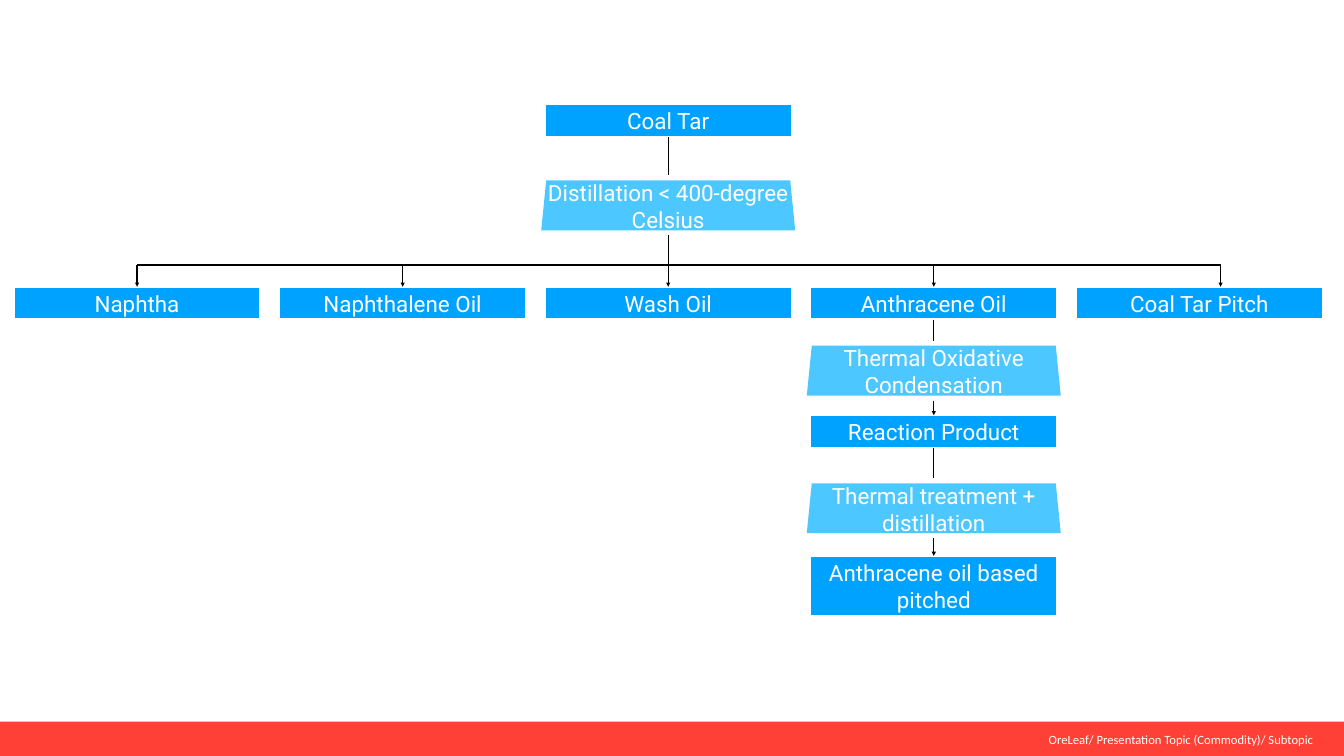
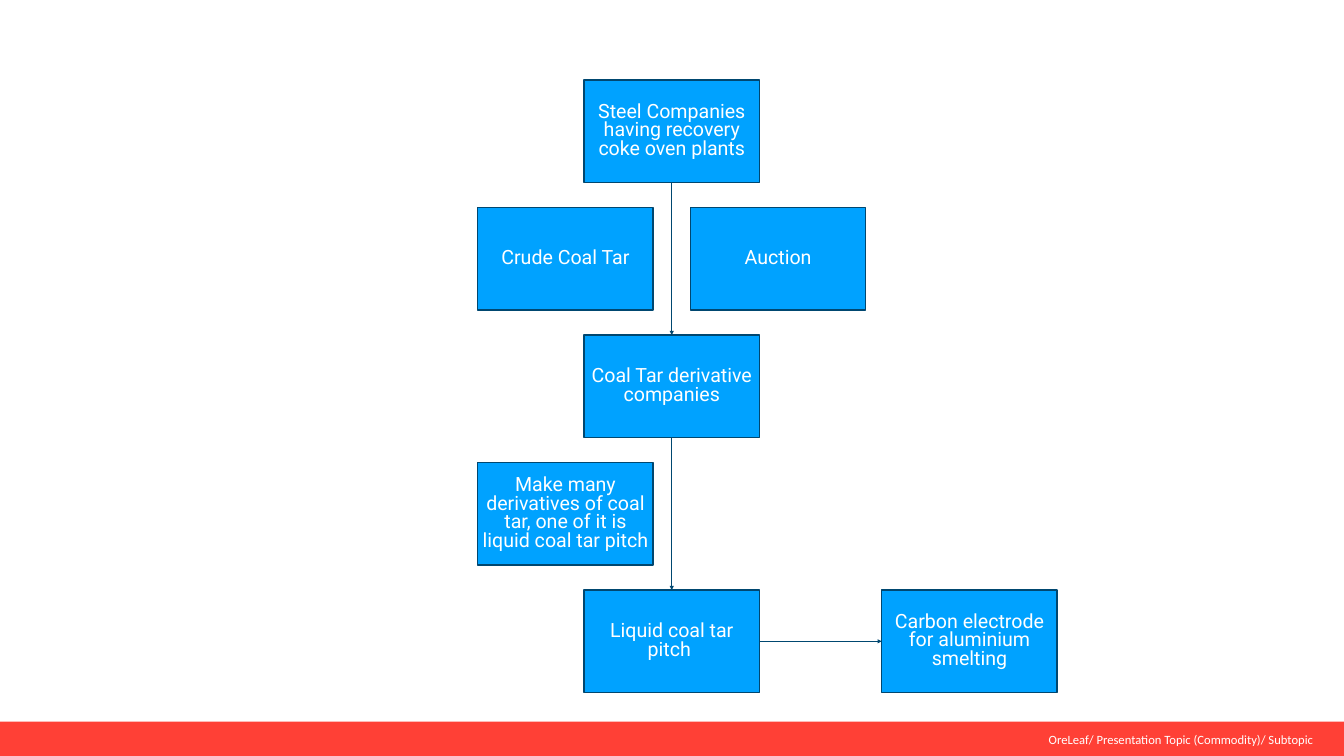
from dataclasses import dataclass
from typing import NamedTuple, Optional

from pptx import Presentation
from pptx.dml.color import RGBColor
from pptx.enum.shapes import MSO_CONNECTOR, MSO_SHAPE
from pptx.enum.text import MSO_ANCHOR, MSO_AUTO_SIZE, PP_ALIGN
from pptx.oxml.ns import qn
from pptx.shapes.autoshape import Shape
from pptx.slide import Slide
from pptx.util import Inches, Pt
from lxml.etree import SubElement

WHITE = RGBColor(0xFF, 0xFF, 0xFF)
BLACK = RGBColor(0, 0, 0)
RED = RGBColor(0xFF, 0x40, 0x36)
BLUE = RGBColor(0x00, 0xA2, 0xFF)
LIGHT_BLUE = RGBColor(0x4D, 0xC7, 0xFF)
NAVY = RGBColor(0x00, 0x47, 0x70)

SLIDE_WIDTH, SLIDE_HEIGHT = 26.67, 15
FOOTER_TEXT = "OreLeaf/ Presentation Topic (Commodity)/ Subtopic"
TOP, LEFT, BOTTOM, RIGHT = range(4)


class Box(NamedTuple):
    left: float
    top: float
    width: float
    height: float


class TextStyle(NamedTuple):
    font: str
    size: int
    align: PP_ALIGN = PP_ALIGN.CENTER
    inset: float = 0.1
    spacing: Optional[float] = None
    auto_size: MSO_AUTO_SIZE = MSO_AUTO_SIZE.NONE


@dataclass(frozen=True)
class ShapeStyle:
    text: TextStyle
    fill: RGBColor = BLUE
    line: Optional[RGBColor] = None
    line_width: float = 2
    preset: MSO_SHAPE = MSO_SHAPE.RECTANGLE


@dataclass(frozen=True)
class Grid:
    left: float
    column_pitch: float
    row_tops: tuple[float, ...]
    cell_width: float
    cell_height: float

    def cell(self, column: float, row: int, height: Optional[float] = None) -> Box:
        return Box(self.left + column * self.column_pitch, self.row_tops[row],
                   self.cell_width, height or self.cell_height)

    def centre(self, column: float) -> float:
        return self.left + column * self.column_pitch + self.cell_width / 2


class Node(NamedTuple):
    text: str
    column: float
    row: int
    height: Optional[float] = None


class End(NamedTuple):
    """A connector end: a free point, or the middle of a shape's side."""
    x: float = 0
    y: float = 0
    shape: Optional[Shape] = None
    side: int = TOP


FOOTER_STYLE = TextStyle("Calibri", 18, PP_ALIGN.RIGHT, 0.05)
PRODUCT_STYLE = ShapeStyle(
    TextStyle("Roboto", 32, inset=0.06, auto_size=MSO_AUTO_SIZE.SHAPE_TO_FIT_TEXT),
    line=WHITE, line_width=3)
PROCESS_STYLE = ShapeStyle(TextStyle("Roboto", 32, inset=0), fill=LIGHT_BLUE,
                           preset=MSO_SHAPE.TRAPEZOID)
CHAIN_STYLE = ShapeStyle(TextStyle("Roboto", 28, spacing=0.8), line=NAVY)

TALL = 1.19
PROCESS_SPREAD = 0.07
PROCESS_TRIM = 0.1
BUS_TOP = 5.26
PITCH_DROP = 24.22

PRODUCT_GRID = Grid(0.27, 5.27, (2.07, 5.69, 8.24, 11.03), 4.9, 0.65)
PROCESS_GRID = Grid(0.27, 5.27, (3.48, 6.76, 9.49), 4.9, TALL)
CHAIN_GRID = Grid(9.48, 2.11, tuple(1.59 + 2.53 * row for row in range(5)), 3.48, 2.03)

FRACTIONS = ("Naphtha", "Naphthalene Oil", "Wash Oil", "Anthracene Oil", "Coal Tar Pitch")
PRODUCTS = [
    Node("Coal Tar", 2, 0),
    *(Node(name, column, 1) for column, name in enumerate(FRACTIONS)),
    Node("Reaction Product", 3, 2),
    Node("Anthracene oil based pitched", 3, 3, TALL),
]
PROCESSES = [
    Node("Distillation < 400-degree Celsius", 2, 0),
    Node("Thermal Oxidative Condensation", 3, 1),
    Node("Thermal treatment + distillation", 3, 2),
]
CHAIN = [
    Node("Steel Companies having recovery coke oven plants", 1, 0),
    Node("Crude Coal Tar", 0, 1),
    Node("Auction", 2, 1),
    Node("Coal Tar derivative companies", 1, 2),
    Node("Make many derivatives of coal tar, one of it is liquid coal tar pitch", 0, 3),
    Node("Liquid coal tar pitch ", 1, 4),
    Node("Carbon electrode for aluminium smelting", 3.8, 4),
]


def write_text(shape: Shape, text: str, style: TextStyle) -> None:
    frame = shape.text_frame
    inset = Inches(style.inset)
    frame_format = {"word_wrap": True, "auto_size": style.auto_size,
                    "vertical_anchor": MSO_ANCHOR.MIDDLE}
    if style.inset != 0.1:
        frame_format |= {f"margin_{side}": inset for side in ("left", "top", "right", "bottom")}
    for name, value in frame_format.items():
        setattr(frame, name, value)
    paragraph = frame.paragraphs[0]
    paragraph.alignment = style.align
    paragraph.line_spacing = style.spacing
    run = paragraph.add_run()
    run.text = text
    for name, value in {"name": style.font, "size": Pt(style.size)}.items():
        setattr(run.font, name, value)
    run.font.color.rgb = WHITE


def add_box(slide: Slide, box: Box, fill: RGBColor, line: Optional[RGBColor] = None,
            line_width: float = 2, preset: MSO_SHAPE = MSO_SHAPE.RECTANGLE) -> Shape:
    shape = slide.shapes.add_shape(preset, *map(Inches, box))
    shape.shadow.inherit = False
    shape.fill.solid()
    shape.fill.fore_color.rgb = fill
    if line is None:
        shape.line.fill.background()
    else:
        shape.line.color.rgb = line
        shape.line.width = Pt(line_width)
    return shape


def add_node(slide: Slide, text: str, box: Box, style: ShapeStyle) -> Shape:
    shape = add_box(slide, box, style.fill, style.line, style.line_width, style.preset)
    write_text(shape, text, style.text)
    return shape


def add_process(slide: Slide, node: Node) -> Shape:
    """Add a trapezoid slightly wider and lower than its grid cell."""
    left, top, width, height = PROCESS_GRID.cell(node.column, node.row)
    box = Box(left - PROCESS_SPREAD, top + PROCESS_TRIM,
              width + 2 * PROCESS_SPREAD, height - 2 * PROCESS_TRIM)
    shape = add_node(slide, node.text, box, PROCESS_STYLE)
    shape.adjustments[0] = 0.1
    return shape


def add_link(slide: Slide, start: End, end: End, color: RGBColor, arrow: bool = True) -> None:
    connector = slide.shapes.add_connector(
        MSO_CONNECTOR.STRAIGHT, *map(Inches, (start.x, start.y, end.x, end.y)))
    if start.shape is not None:
        connector.begin_connect(start.shape, start.side)
    if end.shape is not None:
        connector.end_connect(end.shape, end.side)
    connector.line.color.rgb = color
    connector.line.width = Pt(2)
    if arrow:
        SubElement(connector.line._get_or_add_ln(), qn("a:tailEnd"), type="triangle")
    SubElement(connector._element.spPr, qn("a:effectLst"))


def add_footer(slide: Slide) -> None:
    band = Box(-0.03, 14.32, SLIDE_WIDTH + 0.05, 0.7)
    add_box(slide, band, RED)
    label = slide.shapes.add_textbox(*map(Inches, (19.69, band.top, 6.42, band.height)))
    write_text(label, FOOTER_TEXT, FOOTER_STYLE)


def add_distillation_slide(slide: Slide) -> None:
    products = {node.text: add_node(slide, node.text,
                                    PRODUCT_GRID.cell(node.column, node.row, node.height),
                                    PRODUCT_STYLE)
                for node in PRODUCTS}
    for node in PROCESSES:
        add_process(slide, node)

    stages = [("Coal Tar", "Wash Oil"), ("Anthracene Oil", "Reaction Product"),
              ("Reaction Product", "Anthracene oil based pitched")]
    for process, (source, result) in zip(PROCESSES, stages):
        middle = PROCESS_GRID.centre(process.column)
        top = PROCESS_GRID.row_tops[process.row]
        add_link(slide, End(shape=products[source], side=BOTTOM), End(middle, top),
                 BLACK, arrow=False)
        add_link(slide, End(middle, top + TALL), End(shape=products[result]), BLACK)

    add_link(slide, End(PRODUCT_GRID.centre(0), BUS_TOP), End(PITCH_DROP, BUS_TOP),
             BLACK, arrow=False)
    for column in (0, 1, 3):
        add_link(slide, End(PRODUCT_GRID.centre(column), BUS_TOP),
                 End(shape=products[FRACTIONS[column]]), BLACK)
    add_link(slide, End(PITCH_DROP, BUS_TOP), End(PITCH_DROP, PRODUCT_GRID.row_tops[1]), BLACK)


def add_supply_chain_slide(slide: Slide) -> None:
    steps = {(node.column, node.row): add_node(
        slide, node.text, CHAIN_GRID.cell(node.column, node.row), CHAIN_STYLE)
        for node in CHAIN}
    for row in (0, 2):
        add_link(slide, End(shape=steps[1, row], side=BOTTOM),
                 End(shape=steps[1, row + 2]), NAVY)
    add_link(slide, End(shape=steps[1, 4], side=RIGHT),
             End(shape=steps[3.8, 4], side=LEFT), NAVY)


def main() -> None:
    presentation = Presentation()
    presentation.slide_width = Inches(SLIDE_WIDTH)
    presentation.slide_height = Inches(SLIDE_HEIGHT)
    for add_content in (add_distillation_slide, add_supply_chain_slide):
        slide = presentation.slides.add_slide(presentation.slide_layouts[6])
        add_footer(slide)
        add_content(slide)
    presentation.save("out.pptx")


if __name__ == "__main__":
    main()
